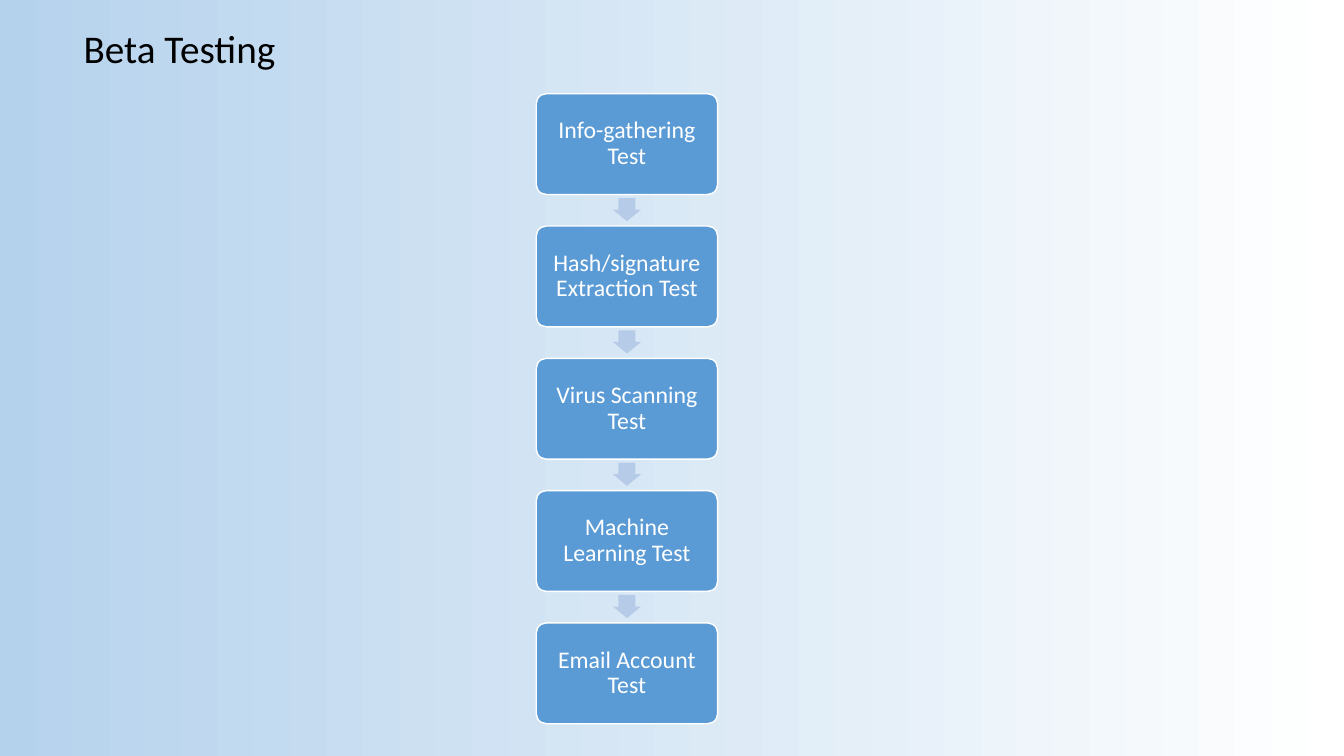
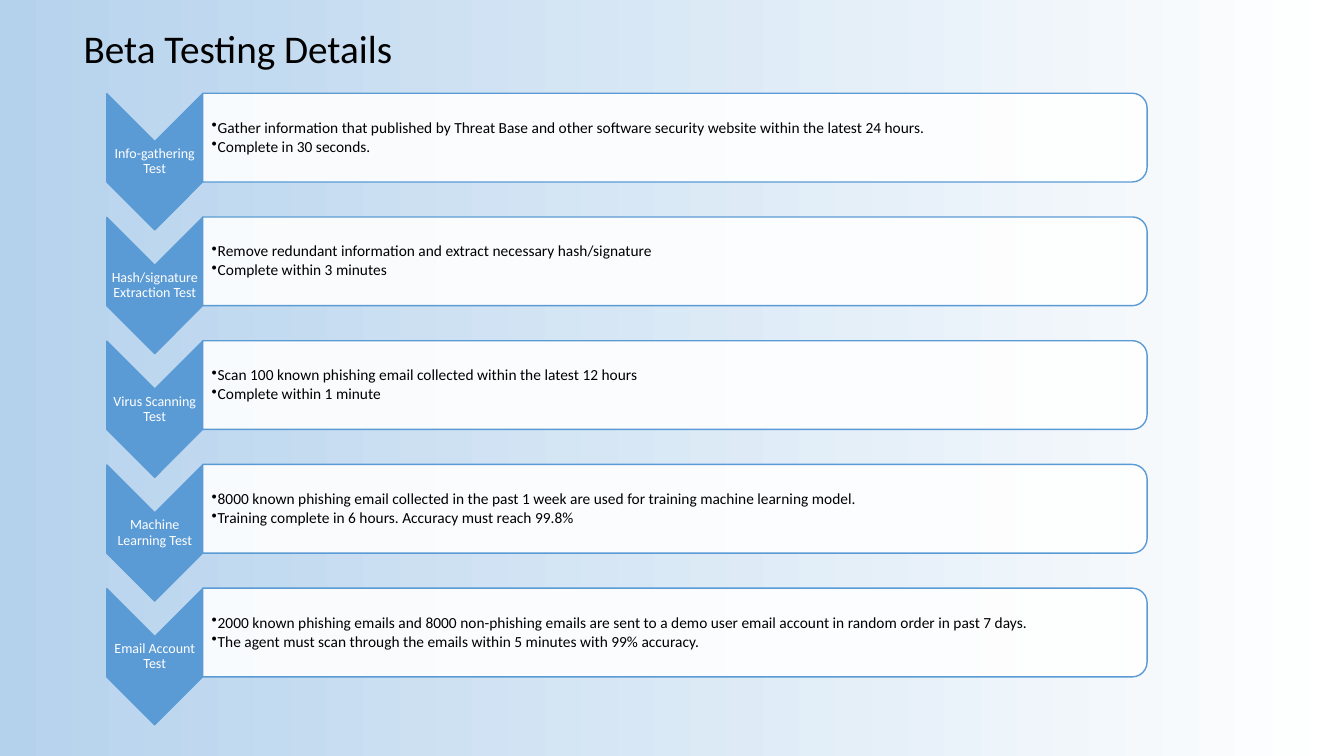
"""Build the two beta testing slides on a grid of 160 columns by 90 rows."""
from dataclasses import dataclass

from lxml.etree import SubElement
from pptx import Presentation
from pptx.dml.color import RGBColor
from pptx.enum.shapes import MSO_SHAPE
from pptx.enum.text import MSO_ANCHOR, MSO_AUTO_SIZE, PP_ALIGN
from pptx.oxml.ns import qn
from pptx.presentation import Presentation as Deck
from pptx.shapes.autoshape import Shape
from pptx.slide import Slide
from pptx.text.text import TextFrame
from pptx.util import Emu, Inches, Pt

COLORS: dict[str, str] = {
    "blue": "5B9BD5",
    "arrow": "B5CBE7",
    "sky": "B5D2EC",
    "white": "FFFFFF",
    "black": "000000",
}
FONT = "Calibri"
CELL = Inches(1 / 12)
COLUMNS, ROWS = 160, 90


@dataclass(frozen=True)
class Frame:
    """Place on the grid, in columns and rows."""
    left: float
    top: float
    width: float
    height: float

    def down(self, rows: float) -> "Frame":
        """Return the frame moved down."""
        return Frame(self.left, self.top + rows, self.width, self.height)

    def turned(self) -> "Frame":
        """Return the frame with its sides swapped about its centre."""
        shift = (self.width - self.height) / 2
        return Frame(self.left + shift, self.top - shift, self.height, self.width)

    def lengths(self) -> list[Emu]:
        """Return left, top, width and height as slide lengths."""
        return [Emu(round(side * CELL)) for side in (self.left, self.top, self.width, self.height)]


@dataclass(frozen=True)
class Test:
    """One beta test and its criteria."""
    name: str
    criteria: tuple[str, ...]


TITLE = Frame(8.76, 2.28, 94.32, 6.84)
STEP, STEP_PITCH = Frame(63.84, 11.16, 21.6, 12), 15.75
ARROW = Frame(72.96, 23.58, 3.36, 2.76)
CHEVRON, DETAIL_PITCH = Frame(12.72, 11.16, 11.4, 16.2), 14.73
PANEL = Frame(CHEVRON.left + CHEVRON.width, 11.1, 112.44, 10.56)

TESTS = (
    Test("Info-gathering Test", (
        "Gather information that published by Threat Base and other software security website "
        "within the latest 24 hours.",
        "Complete in 30 seconds.")),
    Test("Hash/signature Extraction Test", (
        "Remove redundant information and extract necessary hash/signature",
        "Complete within 3 minutes")),
    Test("Virus Scanning Test", (
        "Scan 100 known phishing email collected within the latest 12 hours",
        "Complete within 1 minute")),
    Test("Machine Learning Test", (
        "8000 known phishing email collected in the past 1 week are used for training "
        "machine learning model.",
        "Training complete in 6 hours. Accuracy must reach 99.8%")),
    Test("Email Account Test", (
        "2000 known phishing emails and 8000 non-phishing emails are sent to a demo user "
        "email account in random order in past 7 days.",
        "The agent must scan through the emails within 5 minutes with 99% accuracy.")),
)


def color(name: str) -> RGBColor:
    """Return a named colour."""
    return RGBColor.from_string(COLORS[name])


def write(text: TextFrame, lines: tuple[str, ...], size: float, ink: str,
          align: PP_ALIGN, margin: float, left_margin: float) -> None:
    """Fill a text frame with paragraphs of one style."""
    text.word_wrap = True
    text.auto_size = MSO_AUTO_SIZE.NONE
    text.vertical_anchor = MSO_ANCHOR.MIDDLE
    text.margin_left = Inches(left_margin)
    text.margin_top = text.margin_right = text.margin_bottom = Inches(margin)
    text.text = "\n".join(lines)
    for paragraph in text.paragraphs:
        paragraph.alignment = align
        paragraph.line_spacing = 0.9
        paragraph.font.name = FONT
        paragraph.font.size = Pt(size)
        paragraph.font.color.rgb = color(ink)


def write_label(text: TextFrame, name: str, size: float, margin: float) -> None:
    """Write a centred white test name."""
    write(text, (name,), size, "white", PP_ALIGN.CENTER, margin, margin)


def add_bullets(text: TextFrame, indent: float) -> None:
    """Give every paragraph a hanging bullet."""
    for paragraph in text.paragraphs:
        paragraph.space_after = Pt(1.65)
        properties = paragraph._p.get_or_add_pPr()
        properties.set("marL", str(Inches(indent)))
        properties.set("indent", str(-Inches(indent)))
        SubElement(properties, qn("a:buChar")).set("char", "•")


def add_block(page: Slide, kind: MSO_SHAPE, frame: Frame, fill: str, line: str | None = None,
              adjustments: tuple[float, ...] = (), turn: bool = False) -> Shape:
    """Draw a flat preset shape, turned a quarter when asked."""
    place = frame.turned() if turn else frame
    block = page.shapes.add_shape(kind, *place.lengths())
    block.rotation = 90 if turn else 0
    block.shadow.inherit = False
    block.fill.solid()
    block.fill.fore_color.rgb = color(fill)
    if line:
        block.line.color.rgb = color(line)
        block.line.width = Pt(1)
    else:
        block.line.fill.background()
    for index, value in enumerate(adjustments):
        block.adjustments[index] = value
    return block


def set_opacity(block: Shape, percent: int) -> None:
    """Make the fill of a shape partly transparent."""
    for tint in block.element.xpath("./p:spPr/a:solidFill/a:srgbClr"):
        SubElement(tint, qn("a:alpha")).set("val", str(percent * 1000))


def paint_background(deck: Deck) -> None:
    """Shade the master from sky on the left to white on the right."""
    fill = deck.slide_master.background.fill
    fill.gradient()
    fill.gradient_angle = 180
    for stop, name in zip(fill.gradient_stops, ("white", "sky")):
        stop.color.rgb = color(name)


def add_page(deck: Deck, heading: str) -> Slide:
    """Add a slide with its title."""
    page = deck.slides.add_slide(deck.slide_layouts.get_by_name("Title Only"))
    title = page.shapes.title
    title.left, title.top, title.width, title.height = TITLE.lengths()
    write(title.text_frame, (heading,), 28, "black", PP_ALIGN.LEFT, 0.05, 0.1)
    title.text_frame.paragraphs[0].line_spacing = 1.0
    return page


def add_step(page: Slide, test: Test, index: int) -> None:
    """Draw one box of the flow and the arrow that leads to the next."""
    offset = index * STEP_PITCH
    box = add_block(page, MSO_SHAPE.ROUNDED_RECTANGLE, STEP.down(offset), "blue", "white", (0.1,))
    write_label(box.text_frame, test.name, 17, 0.07)
    if index < len(TESTS) - 1:
        add_block(page, MSO_SHAPE.DOWN_ARROW, ARROW.down(offset), "arrow", None, (0.6, 0.5))


def add_detail(page: Slide, test: Test, index: int) -> None:
    """Draw one chevron with its panel of criteria."""
    chevron, panel = (frame.down(index * DETAIL_PITCH) for frame in (CHEVRON, PANEL))
    add_block(page, MSO_SHAPE.CHEVRON, chevron, "blue", "blue", turn=True)
    label = page.shapes.add_textbox(*chevron.lengths())
    write_label(label.text_frame, test.name, 10, 0.01)
    card = add_block(page, MSO_SHAPE.ROUND_2_SAME_RECTANGLE, panel, "white", "blue", turn=True)
    set_opacity(card, 90)
    criteria = page.shapes.add_textbox(*panel.lengths())
    write(criteria.text_frame, test.criteria, 11, "black", PP_ALIGN.LEFT, 0.01, 0.09)
    add_bullets(criteria.text_frame, 0.06)


def main() -> None:
    """Build and save the deck."""
    deck = Presentation()
    deck.slide_width, deck.slide_height = Emu(COLUMNS * CELL), Emu(ROWS * CELL)
    paint_background(deck)
    for heading, add_row in (("Beta Testing", add_step), ("Beta Testing Details", add_detail)):
        page = add_page(deck, heading)
        for index, test in enumerate(TESTS):
            add_row(page, test, index)
    deck.save("out.pptx")


main()
